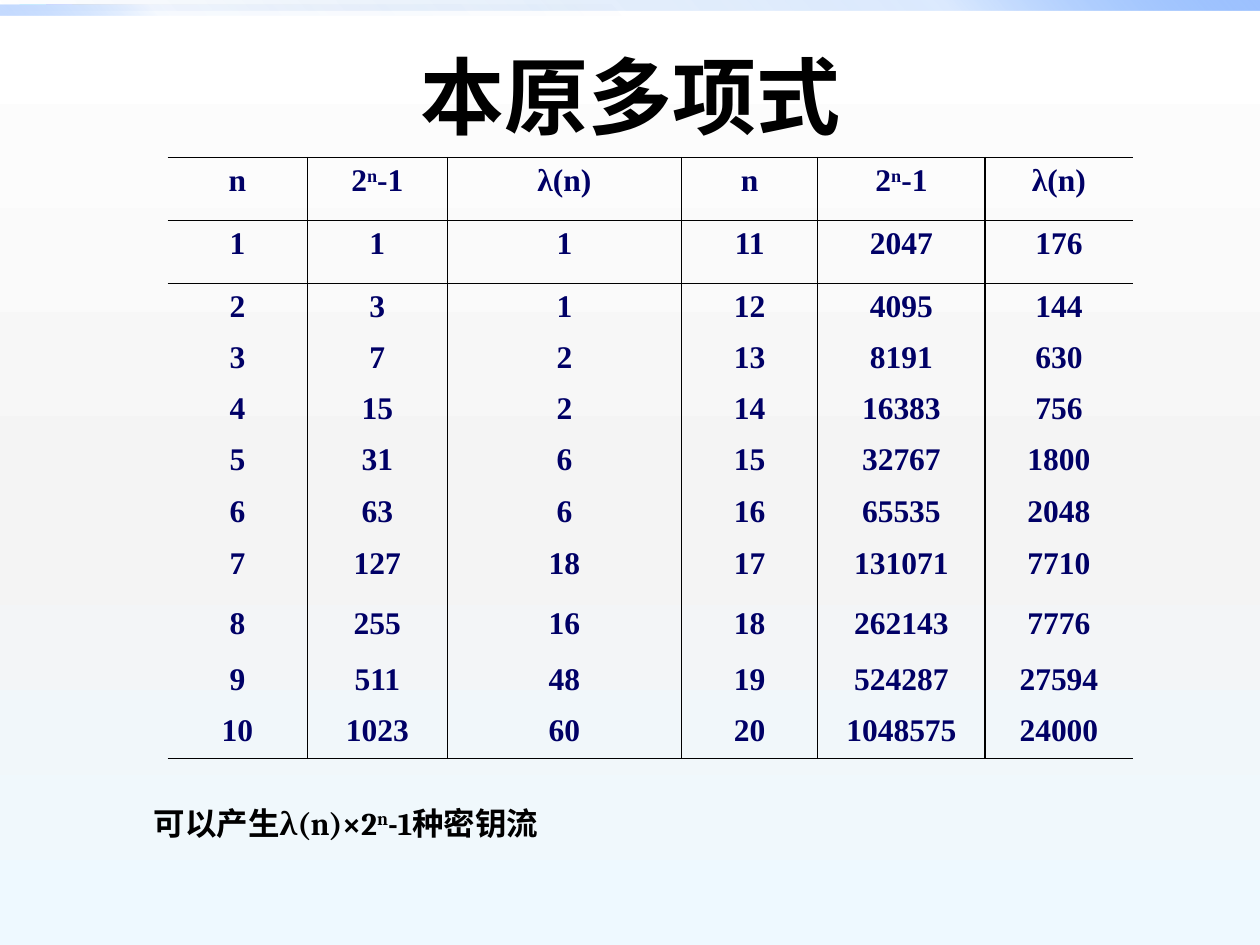
"""Build the slide on primitive polynomials with its table of counts."""
from dataclasses import dataclass
from itertools import chain

from lxml import etree
from pptx import Presentation
from pptx import util as u
from pptx.dml.color import RGBColor
from pptx.enum import shapes, text
from pptx.oxml.ns import qn

COLOURS = {
    "ink": "000000", "navy": "000066", "deep": "0058B7", "mid": "4F95FF",
    "pale": "9EC2FF", "white": "FFFFFF", "grey": "F4F4F4", "ice": "EEF9FF",
}
CJK_FACE = "Noto Sans CJK SC"
NO_TABLE_STYLE = "{2D5ABB26-0587-4C30-8999-92F81FD0307C}"
COLUMN_WIDTHS = (1.11, 1.11, 1.86, 1.08, 1.33, 1.17)
ROW_HEIGHTS = (0.5, 0.5, 0.4, 0.41, 0.4, 0.41, 0.42, 0.47, 0.45, 0.4, 0.41)
HEADINGS = ("n", "2^n^-1", "λ(n)")
COUNTS = (1, 1, 2, 2, 6, 6, 18, 16, 48, 60,
          176, 144, 630, 756, 1800, 2048, 7710, 7776, 27594, 24000)


@dataclass(frozen=True)
class Stop:
    position: int
    colour: str
    alpha: int = 100


@dataclass(frozen=True)
class Bar:
    top: float
    width: float
    angle: int
    stops: tuple[Stop, ...]


@dataclass(frozen=True)
class Style:
    size: int
    face: str
    colour: str
    align: text.PP_ALIGN


@dataclass(frozen=True)
class Label:
    words: str
    left: float
    top: float
    width: float
    height: float
    inset: float
    anchor: text.MSO_ANCHOR
    style: Style


BACKDROP = (Stop(0, "white"), Stop(55, "grey"), Stop(100, "ice"))
BARS = (
    Bar(0, 10, 315, (Stop(0, "deep", 0), Stop(75, "mid", 20), Stop(100, "pale"))),
    Bar(0.04, 5, 135, (Stop(0, "deep", 0), Stop(75, "mid", 5), Stop(100, "pale", 60))),
)
CELL_STYLE = Style(18, "Times New Roman", "navy", text.PP_ALIGN.CENTER)
LABELS = (
    Label("本原多项式", 0.67, 0.25, 8.67, 1, 0.1, text.MSO_ANCHOR.MIDDLE,
          Style(48, "Cambria", "ink", text.PP_ALIGN.CENTER)),
    Label("可以产生λ(n)×2^n^-1种密钥流", 0.83, 6.33, 9.17, 0.4, 0.39, text.MSO_ANCHOR.TOP,
          Style(18, "Cambria", "ink", text.PP_ALIGN.LEFT)),
)


def add(parent, tag: str, **attributes):
    """Append a child element and return it."""
    return etree.SubElement(parent, qn(tag), {k: str(v) for k, v in attributes.items()})


def apply_gradient(fill, owner, stops: tuple[Stop, ...], angle: int) -> None:
    """Fill the owner element with a linear gradient."""
    fill.gradient()
    gradient = next(owner.iter(qn("a:gradFill")))
    for child in list(gradient):
        gradient.remove(child)
    stop_list = add(gradient, "a:gsLst")
    for stop in stops:
        place = add(stop_list, "a:gs", pos=stop.position * 1000)
        colour = add(place, "a:srgbClr", val=COLOURS[stop.colour])
        if stop.alpha < 100:
            add(colour, "a:alpha", val=stop.alpha * 1000)
    add(gradient, "a:lin", ang=angle * 60000, scaled=0)


def add_bar(page, bar: Bar) -> None:
    """Draw one gradient bar at the top of the page."""
    shape = page.shapes.add_shape(shapes.MSO_SHAPE.RECTANGLE, 0, u.Inches(bar.top),
                                  u.Inches(bar.width), u.Inches(0.08))
    shape.shadow.inherit = False
    shape.line.fill.background()
    apply_gradient(shape.fill, shape._element, bar.stops, bar.angle)


def write(frame, words: str, style: Style) -> None:
    """Write one paragraph, raising the parts between carets."""
    paragraph = frame.paragraphs[0]
    paragraph.alignment = style.align
    font = paragraph.font
    font.size, font.bold, font.name = u.Pt(style.size), True, style.face
    font.color.rgb = RGBColor.from_string(COLOURS[style.colour])
    add(font._element, "a:ea", typeface=CJK_FACE)
    for index, part in enumerate(words.split("^")):
        span = paragraph.add_run()
        span.text = part
        if index % 2:
            span.font._element.set("baseline", "30000")


def add_label(page, label: Label) -> None:
    """Place one text box."""
    box = page.shapes.add_textbox(u.Inches(label.left), u.Inches(label.top),
                                  u.Inches(label.width), u.Inches(label.height))
    frame = box.text_frame
    frame.word_wrap = True
    frame.margin_left = u.Inches(label.inset)
    frame.vertical_anchor = label.anchor
    write(frame, label.words, label.style)


def draw_borders(cell, sides: str) -> None:
    """Rule the given sides of a cell."""
    properties = cell._tc.get_or_add_tcPr()
    for side in sides:
        line = add(properties, f"a:ln{side}", w=u.Pt(1))
        add(add(line, "a:solidFill"), "a:srgbClr", val=COLOURS["ink"])


def table_rows() -> list[tuple[str, ...]]:
    """Return the heading row and ten rows that pair n with n + 10."""
    entries = [(str(n), str(2 ** n - 1), str(count)) for n, count in enumerate(COUNTS, 1)]
    half = len(entries) // 2
    pairs = zip(entries[:half], entries[half:])
    return [HEADINGS * 2, *(tuple(chain(*pair)) for pair in pairs)]


def add_count_table(page) -> None:
    """Draw the table of polynomial counts."""
    rows = table_rows()
    last_row, last_column = len(rows) - 1, len(COLUMN_WIDTHS) - 1
    graphic = page.shapes.add_table(len(rows), len(COLUMN_WIDTHS), u.Inches(1.33), u.Inches(1.25),
                                    u.Inches(sum(COLUMN_WIDTHS)), u.Inches(sum(ROW_HEIGHTS)))
    table = graphic.table
    table.first_row = table.horz_banding = False
    table._tbl.tblPr.find(qn("a:tableStyleId")).text = NO_TABLE_STYLE
    for column, width in zip(table.columns, COLUMN_WIDTHS):
        column.width = u.Inches(width)
    for row, height in zip(table.rows, ROW_HEIGHTS):
        row.height = u.Inches(height)
    for r, values in enumerate(rows):
        for c, value in enumerate(values):
            cell = table.cell(r, c)
            rules = {"L": c > 0, "R": c < last_column, "T": r < 2, "B": r in (0, last_row)}
            draw_borders(cell, "".join(side for side, ruled in rules.items() if ruled))
            cell.fill.background()
            write(cell.text_frame, value, CELL_STYLE)


def main() -> None:
    """Build and save the deck."""
    deck = Presentation()
    deck.slide_width, deck.slide_height = u.Inches(10), u.Inches(7.5)
    page = deck.slides.add_slide(deck.slide_layouts[6])
    apply_gradient(page.background.fill, page._element, BACKDROP, 90)
    for bar in BARS:
        add_bar(page, bar)
    add_count_table(page)
    for label in LABELS:
        add_label(page, label)
    deck.save("out.pptx")


if __name__ == "__main__":
    main()
